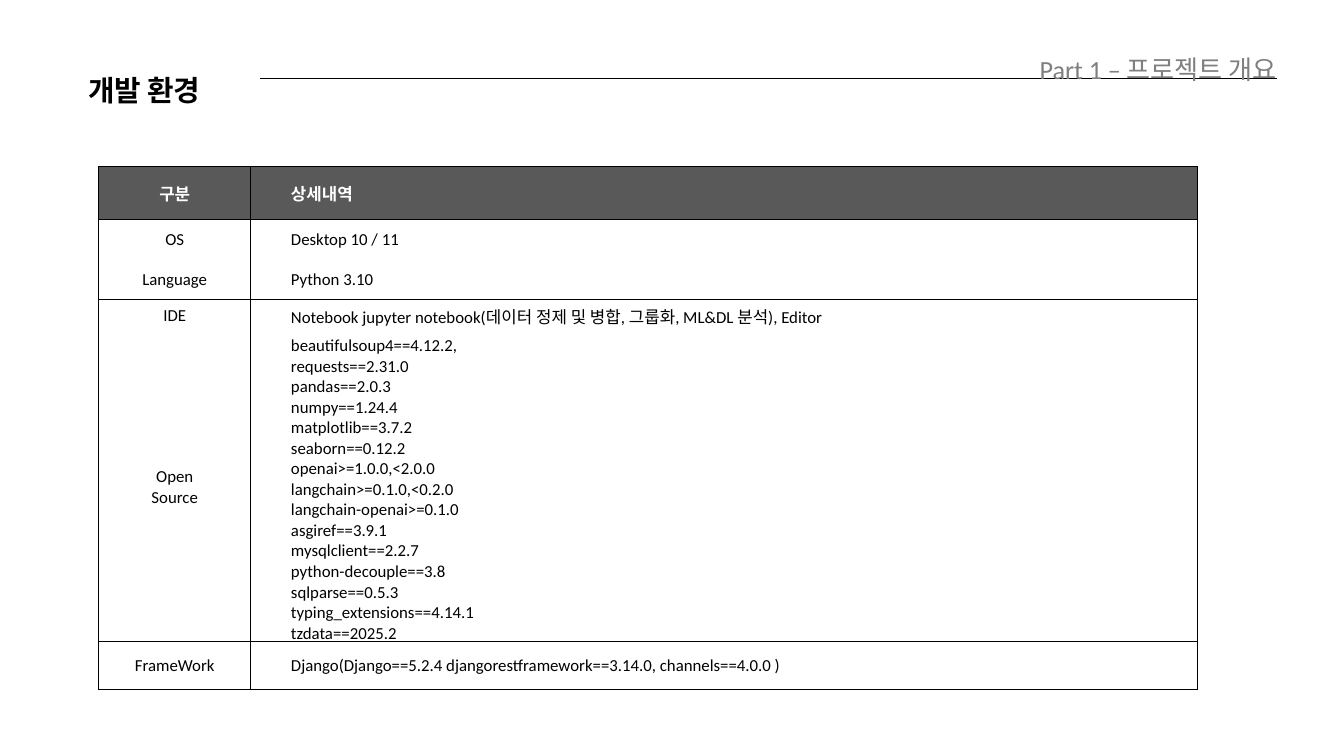
import pptx
import pptx.util
import pptx.dml.color
import pptx.enum.shapes
import pptx.enum.text
import pptx.oxml.ns
from lxml import etree

Inches, Pt = pptx.util.Inches, pptx.util.Pt
RGB = pptx.dml.color.RGBColor.from_string
ALIGN = pptx.enum.text.PP_ALIGN
ANCHOR = pptx.enum.text.MSO_ANCHOR
qn = pptx.oxml.ns.qn

# Content
TITLE = "개발 환경"
SECTION = "Part 1 – 프로젝트 개요"
PACKAGES = [
    "beautifulsoup4==4.12.2,", "requests==2.31.0", "pandas==2.0.3",
    "numpy==1.24.4", "matplotlib==3.7.2", "seaborn==0.12.2",
    "openai>=1.0.0,<2.0.0", "langchain>=0.1.0,<0.2.0",
    "langchain-openai>=0.1.0", "asgiref==3.9.1", "mysqlclient==2.2.7",
    "python-decouple==3.8", "sqlparse==0.5.3", "typing_extensions==4.14.1",
    "tzdata==2025.2",
]
# label, detail, row height, ruled below
ROWS = [
    ("구분", "상세내역", 0.79, True),
    ("OS", "Desktop 10 / 11", 0.6, False),
    ("Language", "Python 3.10", 0.59, True),
    ("IDE", "Notebook jupyter notebook(데이터 정제 및 병합, 그룹화, ML&DL 분석), "
            "Editor", 0.49, False),
    ("Open\nSource", "\n".join(PACKAGES), 2.55, True),
    ("FrameWork", "Django(Django==5.2.4 djangorestframework==3.14.0, "
                  "channels==4.0.0 )", 0.71, True),
]
COLS = [2.26, 14.09]

THEME = {
    "text": "000000", "muted": "7F7F7F", "head_fill": "595959",
    "head_text": "FFFFFF", "line": "000000",
    "font": "Calibri", "head_font": "Arial",
    "title": 30.9, "section": 28, "cell": 18,
    "rule": 0.75, "divider": 1,
}


def format_text(tf, size, color, font, bold=False):
    for p in tf.paragraphs:
        for r in p.runs:
            r.font.size, r.font.bold, r.font.name = Pt(size), bold, font
            r.font.color.rgb = RGB(color)


def set_heading(sp, text, box, size, color, align, spacing, bold=False):
    sp.left, sp.top, sp.width, sp.height = map(Inches, box)
    tf = sp.text_frame
    tf.text = text
    tf.word_wrap = True
    tf.auto_size = pptx.enum.text.MSO_AUTO_SIZE.SHAPE_TO_FIT_TEXT
    tf.vertical_anchor = ANCHOR.TOP
    tf.margin_left = tf.margin_right = tf.margin_top = tf.margin_bottom = 0
    p = tf.paragraphs[0]
    p.alignment, p.line_spacing = align, spacing
    format_text(tf, size, color, THEME["font"], bold)


def set_border(cell, side, width):
    """Draw one cell edge; a width of 0 hides it."""
    ln = etree.SubElement(cell._tc.get_or_add_tcPr(), qn(f"a:ln{side}"))
    if not width:
        etree.SubElement(ln, qn("a:noFill"))
        return
    ln.set("w", str(Pt(width)))
    fill = etree.SubElement(ln, qn("a:solidFill"))
    etree.SubElement(fill, qn("a:srgbClr"), val=THEME["line"])


prs = pptx.Presentation()
prs.slide_width, prs.slide_height = Inches(20), Inches(11.25)
s = prs.slides.add_slide(prs.slide_layouts[5])

# Rule across the top
rule = s.shapes.add_connector(
    pptx.enum.shapes.MSO_CONNECTOR.STRAIGHT,
    Inches(3.87), Inches(1.17), Inches(19), Inches(1.17))
rule.line.color.rgb = RGB(THEME["line"])
rule.line.width = Pt(THEME["rule"])
etree.SubElement(rule._element.spPr, qn("a:effectLst"))

# Title and section label
set_heading(s.shapes.title, TITLE, (1.31, 0.87, 4.09, 0.56),
            THEME["title"], THEME["text"], ALIGN.LEFT, 1.4, True)
set_heading(s.shapes.add_textbox(0, 0, 0, 0), SECTION,
            (12.66, 0.6, 6.34, 0.51),
            THEME["section"], THEME["muted"], ALIGN.RIGHT, 1.41)

# Environment table
table = s.shapes.add_table(
    len(ROWS), len(COLS), Inches(1.47), Inches(2.48),
    Inches(sum(COLS)), Inches(sum(row[2] for row in ROWS))).table
table.horz_banding = False
for col, width in zip(table.columns, COLS):
    col.width = Inches(width)

for i, (label, detail, height, ruled) in enumerate(ROWS):
    table.rows[i].height = Inches(height)
    head = i == 0
    ruled_above = head or ROWS[i - 1][3]
    for j, text in enumerate((label, detail)):
        cell = table.cell(i, j)
        cell.text_frame.text = text
        cell.vertical_anchor = ANCHOR.MIDDLE
        for p in cell.text_frame.paragraphs:
            if j == 0:
                p.alignment = ALIGN.CENTER
            else:
                p.level = 1
        format_text(cell.text_frame, THEME["cell"],
                    THEME["head_text" if head else "text"],
                    THEME["head_font" if head else "font"], head)

        set_border(cell, "L", THEME["divider" if j else "rule"])
        set_border(cell, "R", THEME["rule" if j else "divider"])
        set_border(cell, "T", THEME["rule"] if ruled_above else 0)
        set_border(cell, "B", THEME["rule"] if ruled else 0)
        if head:
            cell.fill.solid()
            cell.fill.fore_color.rgb = RGB(THEME["head_fill"])
        else:
            cell.fill.background()

prs.save("out.pptx")
